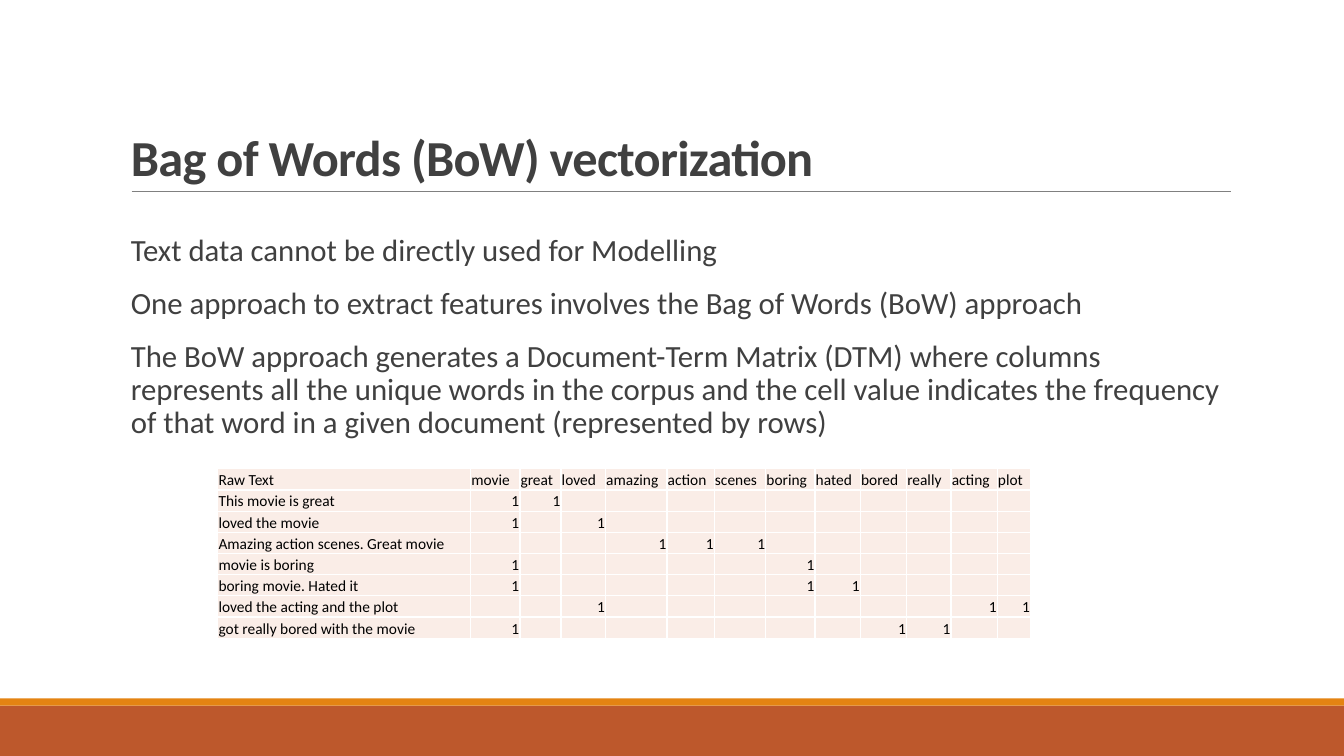
from dataclasses import dataclass

from lxml import etree
from pptx import Presentation
from pptx.dml.color import RGBColor
from pptx.enum.shapes import MSO_CONNECTOR, MSO_SHAPE
from pptx.enum.text import MSO_ANCHOR, PP_ALIGN
from pptx.oxml.ns import qn
from pptx.slide import Slide
from pptx.table import _Cell
from pptx.text.text import TextFrame, _Paragraph
from pptx.util import Pt

RECTANGLE = MSO_SHAPE.RECTANGLE
STRAIGHT = MSO_CONNECTOR.STRAIGHT
TOP, BOTTOM = MSO_ANCHOR.TOP, MSO_ANCHOR.BOTTOM
LEFT, RIGHT = PP_ALIGN.LEFT, PP_ALIGN.RIGHT

FONT = "Calibri"
COLORS = {
    "rust": "BD582C",
    "orange": "E48312",
    "rule": "808080",
    "text": "404040",
    "cell": "FAEDE7",
    "cell_text": "000000",
    "border": "FFFFFF",
}
SLIDE_WIDTH, SLIDE_HEIGHT = 960, 540
CELL_SIZE = 11
ROW_HEIGHT = 15.15


@dataclass
class Band:
    top: float
    height: float
    color: str


@dataclass
class TextBlock:
    top: float
    height: float
    anchor: MSO_ANCHOR
    lines: list[str]
    size: float
    line_spacing: float
    bold: bool = False
    space_before: float = 0
    space_after: float = 0
    character_spacing: float = 0


@dataclass
class Term:
    word: str
    width: float


@dataclass
class Document:
    text: str
    words: list[str]


BANDS = [Band(504, 36, "rust"), Band(498.8, 5.2, "orange")]
TITLE = TextBlock(22.6, 114.2, BOTTOM, ["Bag of Words (BoW) vectorization"], 36, 0.85,
                  bold=True, character_spacing=-0.5)
BODY = TextBlock(164.2, 316.8, TOP, [
    "Text data cannot be directly used for Modelling",
    "One approach to extract features involves the Bag of Words (BoW) approach",
    "The BoW approach generates a Document-Term Matrix (DTM) where columns represents "
    "all the unique words in the corpus and the cell value indicates the frequency of "
    "that word in a given document (represented by rows)",
], 22, 0.9, space_before=12, space_after=2)

TERMS = [
    Term("movie", 35.2), Term("great", 29.4), Term("loved", 31.8), Term("amazing", 43.9),
    Term("action", 33.8), Term("scenes", 36.8), Term("boring", 35.2), Term("hated", 32.4),
    Term("bored", 33), Term("really", 31.8), Term("acting", 33), Term("plot", 23.8),
]
DOCUMENTS = [
    Document("This movie is great", ["movie", "great"]),
    Document("loved the movie", ["movie", "loved"]),
    Document("Amazing action scenes. Great movie", ["amazing", "action", "scenes"]),
    Document("movie is boring", ["movie", "boring"]),
    Document("boring movie. Hated it", ["movie", "boring", "hated"]),
    Document("loved the acting and the plot", ["loved", "acting", "plot"]),
    Document("got really bored with the movie", ["movie", "bored", "really"]),
]


def rgb(name: str) -> RGBColor:
    return RGBColor.from_string(COLORS[name])


def set_font(paragraph: _Paragraph, size: float, color: str, bold: bool = False) -> None:
    font = paragraph.font
    font.name, font.size, font.bold = FONT, Pt(size), bold
    font.color.rgb = rgb(color)


def draw_band(slide: Slide, band: Band) -> None:
    shape = slide.shapes.add_shape(RECTANGLE, 0, Pt(band.top), Pt(SLIDE_WIDTH), Pt(band.height))
    shape.shadow.inherit = False
    shape.fill.solid()
    shape.fill.fore_color.rgb = rgb(band.color)
    shape.line.fill.background()


def draw_title_rule(slide: Slide) -> None:
    rule = slide.shapes.add_connector(STRAIGHT, Pt(94), Pt(136.8), Pt(879), Pt(136.8))
    rule.line.color.rgb = rgb("rule")
    rule.line.width = Pt(0.5)
    etree.SubElement(rule._element.spPr, qn("a:effectLst"))


def fill_lines(frame: TextFrame, block: TextBlock) -> None:
    for index, line in enumerate(block.lines):
        paragraph = frame.add_paragraph() if index else frame.paragraphs[0]
        run = paragraph.add_run()
        run.text = line
        set_font(paragraph, block.size, "text", block.bold)
        paragraph.line_spacing = block.line_spacing
        paragraph.space_before = Pt(block.space_before)
        paragraph.space_after = Pt(block.space_after)
        if block.character_spacing:
            run._r.get_or_add_rPr().set("spc", str(round(block.character_spacing * 100)))


def draw_text(slide: Slide, block: TextBlock) -> None:
    box = slide.shapes.add_textbox(Pt(86.4), Pt(block.top), Pt(792), Pt(block.height))
    frame = box.text_frame
    frame.word_wrap = True
    frame.vertical_anchor = block.anchor
    frame.margin_left, frame.margin_right = Pt(7.2), 0
    frame.margin_top = frame.margin_bottom = Pt(3.6)
    fill_lines(frame, block)


def add_borders(cell: _Cell) -> None:
    properties = cell._tc.get_or_add_tcPr()
    for index, side in enumerate(("lnL", "lnR", "lnT", "lnB")):
        line = etree.Element(qn(f"a:{side}"), w=str(Pt(1)))
        fill = etree.SubElement(line, qn("a:solidFill"))
        etree.SubElement(fill, qn("a:srgbClr"), val=COLORS["border"])
        properties.insert(index, line)


def fill_cell(cell: _Cell, text: str, alignment: PP_ALIGN) -> None:
    cell.fill.solid()
    cell.fill.fore_color.rgb = rgb("cell")
    cell.vertical_anchor = BOTTOM
    cell.margin_left = cell.margin_right = cell.margin_top = Pt(0.5)
    cell.margin_bottom = 0
    paragraph = cell.text_frame.paragraphs[0]
    paragraph.alignment = alignment
    set_font(paragraph, CELL_SIZE, "cell_text")
    if text:
        paragraph.add_run().text = text
    else:
        etree.SubElement(paragraph._p, qn("a:endParaRPr"), sz=str(CELL_SIZE * 100))
    add_borders(cell)


def draw_matrix(slide: Slide) -> None:
    header = ["Raw Text"] + [term.word for term in TERMS]
    rows = [header] + [
        [document.text] + ["1" if term.word in document.words else "" for term in TERMS]
        for document in DOCUMENTS
    ]
    widths = [180.6] + [term.width for term in TERMS]
    table = slide.shapes.add_table(len(rows), len(widths), Pt(155.6), Pt(334.8),
                                   Pt(sum(widths)), Pt(ROW_HEIGHT * len(rows))).table
    for column, width in zip(table.columns, widths):
        column.width = Pt(width)
    for row_index, texts in enumerate(rows):
        table.rows[row_index].height = Pt(ROW_HEIGHT)
        for column_index, text in enumerate(texts):
            alignment = RIGHT if row_index and column_index else LEFT
            fill_cell(table.cell(row_index, column_index), text, alignment)


def main() -> None:
    presentation = Presentation()
    presentation.slide_width, presentation.slide_height = Pt(SLIDE_WIDTH), Pt(SLIDE_HEIGHT)
    slide = presentation.slides.add_slide(presentation.slide_layouts[6])
    for band in BANDS:
        draw_band(slide, band)
    draw_title_rule(slide)
    for block in (TITLE, BODY):
        draw_text(slide, block)
    draw_matrix(slide)
    presentation.save("out.pptx")


main()
